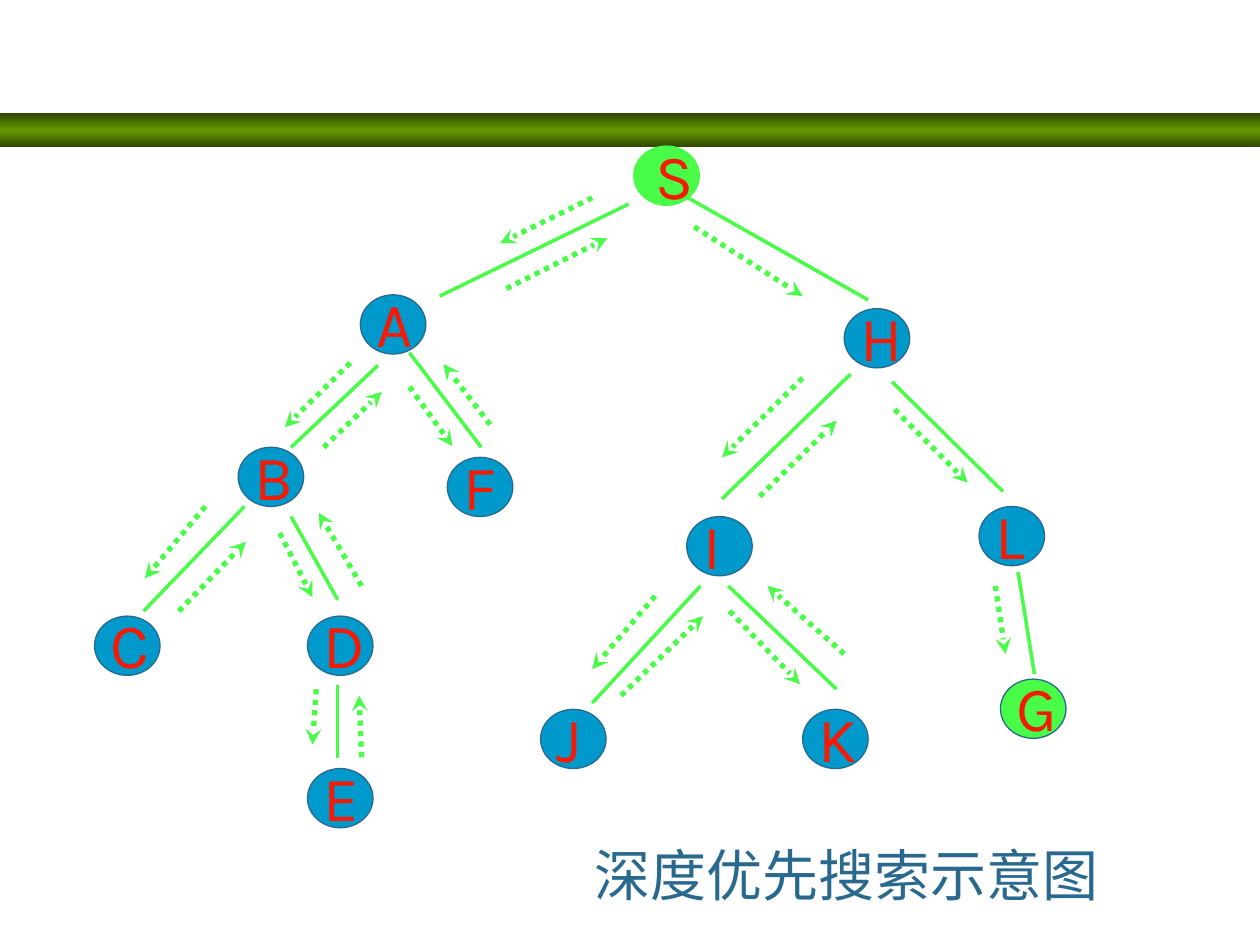
from copy import deepcopy
from dataclasses import dataclass

from pptx import Presentation
from pptx import util as u
from pptx.dml.color import RGBColor
from pptx.enum import dml, shapes, text
from pptx.oxml import ns, xmlchemy


@dataclass(frozen=True)
class Theme:
    visited: str = "0099CC"
    path_green: str = "48FC48"
    outline: str = "29698D"
    letter: str = "F51A03"
    band_dark: str = "2F4700"
    band_light: str = "669900"
    font: str = "Karla"
    letter_size: int = 36
    caption_size: int = 32
    outline_width: float = 0.75
    edge_width: int = 2
    step_width: int = 3


THEME = Theme()
COLS, ROWS = 100, 75
CELL = u.Inches(0.1)
NODE_W, NODE_H = 5.2, 4.7

NODES = {
    "H": (67, 24.5), "A": (28.6, 23.4), "L": (77.7, 40.2), "I": (54.5, 41),
    "F": (35.5, 36.3), "B": (18.9, 35.5), "C": (7.5, 48.9), "D": (24.4, 48.9),
    "E": (24.4, 61), "J": (42.9, 56.3), "G": (79.4, 53.9), "K": (63.7, 56.3),
    "S": (50.3, 11.6),
}
GREEN_NODES = "SG"

EDGES = {
    "SA": (49.9, 16.2, 34.9, 23.5), "SH": (54.6, 15.7, 68.9, 23.8),
    "AB": (30, 29, 23.1, 35.5), "AF": (32.5, 28, 38.2, 35.5),
    "BC": (19.4, 40.2, 11.4, 48.5), "BD": (23.1, 41, 26.8, 47.6),
    "DE": (26.8, 54.4, 26.8, 60.2), "HI": (67.5, 29.7, 57.3, 39.6),
    "HL": (70.8, 30.3, 79.6, 39), "IJ": (55.6, 46.5, 47, 55.8),
    "IK": (57.8, 46.5, 66.4, 54.7), "LG": (80.8, 45.4, 82.1, 53.5),
}
FORWARD_STEPS = {
    "SA": (47, 15.7, 39.7, 19.3), "SH": (55.1, 18, 63.7, 23.5),
    "AB": (27.8, 28.8, 22.6, 33.9), "AF": (32.5, 30.7, 35.9, 35.4),
    "BC": (16.3, 40.2, 11.5, 45.9), "BD": (22.2, 42.3, 24.8, 47.4),
    "DE": (25.1, 54.7, 24.8, 59.1), "HI": (63.7, 30, 57.3, 36.3),
    "HL": (71, 32.5, 76.8, 38.3), "IJ": (52, 47.3, 47, 53.1),
    "IK": (57.9, 48.5, 63.5, 54.3), "LG": (79, 46.5, 79.8, 51.9),
}
BACK_STEPS = {
    "AS": (40.2, 22.9, 48.2, 18.9), "BA": (25.7, 35.5, 30.3, 31.1),
    "FA": (38.9, 33.7, 35.2, 28.9), "CB": (14.2, 48.5, 19.5, 43),
    "DB": (28.7, 46.5, 25.3, 40.7), "ED": (28.7, 60.1, 28.5, 55.2),
    "IH": (60.3, 39.4, 66.4, 33.4), "JI": (49.3, 55.2, 55.8, 48.9),
    "KI": (67, 51.9, 60.9, 46.5),
}


def grid(*cells):
    return [round(c * CELL) for c in cells]


def rgb(value):
    return RGBColor.from_string(value)


def apply(obj, fmt):
    for name, value in fmt.items():
        setattr(obj, name, value)


def add_band(s, top, height):
    sp = s.shapes.add_shape(shapes.MSO_SHAPE.RECTANGLE, *grid(0, top, COLS, height))
    sp.shadow.inherit = False
    sp.line.fill.background()
    sp.fill.gradient()
    sp.fill.gradient_angle = 90
    stops = sp._element.spPr.find(".//" + ns.qn("a:gsLst"))
    stops.insert(1, deepcopy(stops[0]))
    colors = THEME.band_dark, THEME.band_light, THEME.band_dark
    for i, (stop, color) in enumerate(zip(sp.fill.gradient_stops, colors)):
        stop.position = i / 2
        stop.color.rgb = rgb(color)


def add_text(s, box, words, size, color, frame):
    tf = s.shapes.add_textbox(*grid(*box)).text_frame
    apply(tf, {"word_wrap": True, **frame})
    r = tf.paragraphs[0].add_run()
    r.text = words
    apply(r.font, {"size": u.Pt(size), "name": THEME.font})
    r.font.color.rgb = rgb(color)


def add_node(s, name, x, y):
    green = name in GREEN_NODES
    sp = s.shapes.add_shape(shapes.MSO_SHAPE.OVAL, *grid(x, y, NODE_W, NODE_H))
    sp.shadow.inherit = False
    sp.fill.solid()
    sp.fill.fore_color.rgb = rgb(THEME.path_green if green else THEME.visited)
    sp.line.color.rgb = rgb(THEME.path_green if name == "S" else THEME.outline)
    sp.line.width = u.Pt(THEME.outline_width)
    margins = dict.fromkeys(
        ("margin_left", "margin_top", "margin_right", "margin_bottom"), 0)
    indent = 1.7 if name == "S" else 1.3
    add_text(s, (x + indent, y - 0.8, 2, 6), name, THEME.letter_size, THEME.letter,
             {"vertical_anchor": text.MSO_ANCHOR.MIDDLE, **margins})


def add_line(s, ends, width):
    cx = s.shapes.add_connector(shapes.MSO_CONNECTOR.STRAIGHT, *grid(*ends))
    cx.line.color.rgb = rgb(THEME.path_green)
    cx.line.width = u.Pt(width)
    cx._element.spPr.append(xmlchemy.OxmlElement("a:effectLst"))
    return cx


def add_step(s, ends):
    cx = add_line(s, ends, THEME.step_width)
    cx.line.dash_style = dml.MSO_LINE.ROUND_DOT
    tail = xmlchemy.OxmlElement("a:tailEnd")
    tail.set("type", "stealth")
    cx.line._get_or_add_ln().append(tail)


def main():
    prs = Presentation()
    apply(prs, {"slide_width": COLS * CELL, "slide_height": ROWS * CELL})
    s = prs.slides.add_slide(prs.slide_layouts[6])
    add_band(s, 9, 2.7)
    for name, (x, y) in NODES.items():
        add_node(s, name, x, y)
    for ends in EDGES.values():
        add_line(s, ends, THEME.edge_width)
    for ends in (*FORWARD_STEPS.values(), *BACK_STEPS.values()):
        add_step(s, ends)
    add_text(s, (46.2, 66.2, 47.9, 6.4), "深度优先搜索示意图",
             THEME.caption_size, THEME.outline, {})
    prs.save("out.pptx")


if __name__ == "__main__":
    main()
